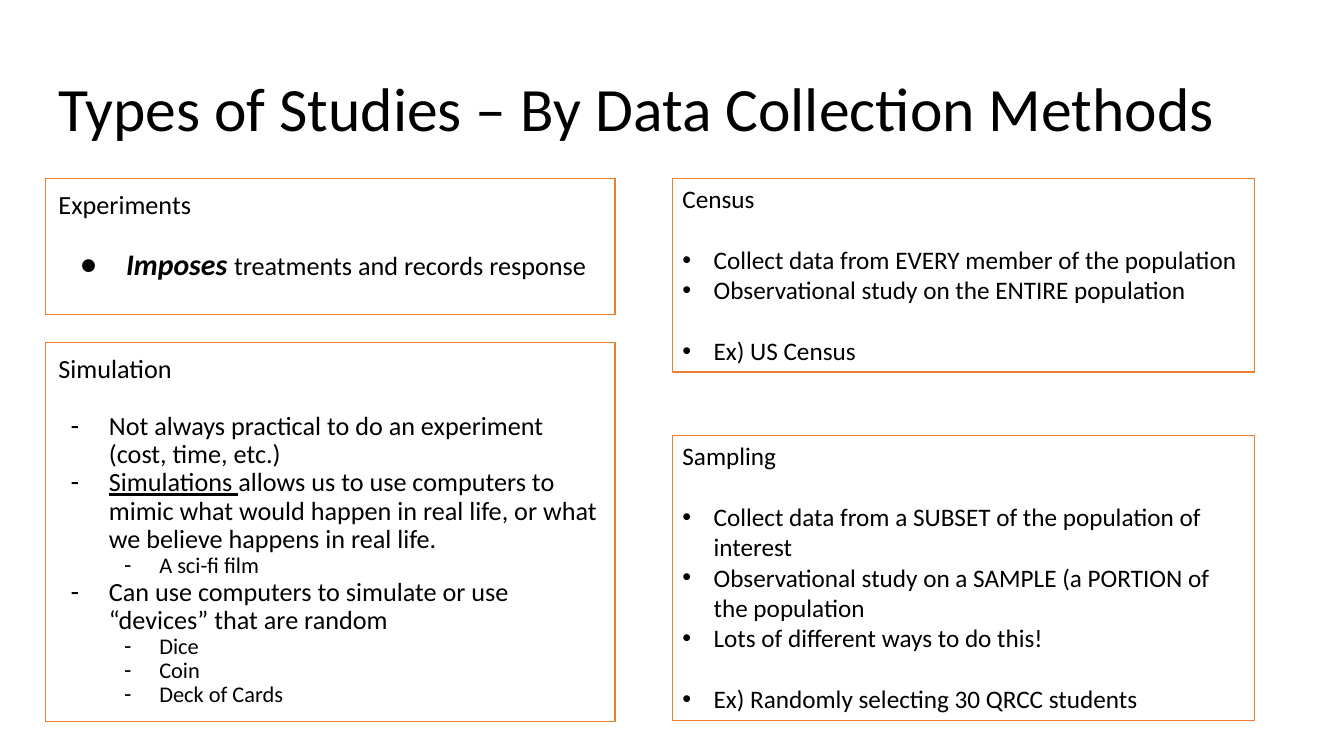
from pptx import Presentation
from pptx.dml.color import RGBColor
from pptx.enum.shapes import MSO_SHAPE as Shape
from pptx.enum.text import MSO_ANCHOR as Anchor, PP_ALIGN as Align
from pptx.oxml.ns import qn
from pptx.util import Inches, Pt
from lxml.etree import SubElement

BLACK = RGBColor(0x00, 0x00, 0x00)
WHITE = RGBColor(0xFF, 0xFF, 0xFF)
ORANGE = RGBColor(0xED, 0x7D, 0x31)
FONT = "Calibri"
LEFT, RIGHT, TOP = 0.45, 6.67, 1.77
LEFT_WIDTH, RIGHT_WIDTH = 5.65, 5.77
LEFT_SIZE, SUB_SIZE, RIGHT_SIZE = 18.7, 16, 18
LEFT_GAP, RIGHT_GAP = 20.5, 22
DOT = ("\u2022", 0.31, 0.31)
BIG_DOT = ("\u25cf", 0.67, 0.46)
DASH = ("-", 0.5, 0.38)
SUB_DASH = ("-", 1, 0.35)


def set_margins(frame, side, end):
    """Set the inner margins of a text frame and anchor its text at the top."""
    frame.margin_left = frame.margin_right = Inches(side)
    frame.margin_top = frame.margin_bottom = Inches(end)
    frame.vertical_anchor = Anchor.TOP
    frame.word_wrap = True


def add_run(line, text, size, bold=False, italic=False, underline=False):
    """Add one styled run to a paragraph."""
    run = line.add_run()
    run.text = text
    font = run.font
    font.name, font.size, font.color.rgb = FONT, Pt(size), BLACK
    font.bold, font.italic, font.underline = bold, italic, underline


def set_bullet(line, mark, indent, hang):
    """Give a paragraph a bullet mark with a hanging indent."""
    props = line._p.get_or_add_pPr()
    props.set("marL", str(Inches(indent)))
    props.set("indent", str(-Inches(hang)))
    SubElement(props, qn("a:buFont"), typeface="Arial")
    SubElement(props, qn("a:buChar"), char=mark)


def add_item(frame, text, size, bullet, spacing, gap=0):
    """Append a bulleted paragraph and return it."""
    line = frame.add_paragraph()
    line.alignment = Align.LEFT
    line.line_spacing = spacing
    line.space_before = Pt(gap)
    set_bullet(line, *bullet)
    if text:
        add_run(line, text, size)
    return line


def add_panel(slide, heading, box, size, spacing, margins):
    """Draw an outlined panel with its heading and return its text frame."""
    panel = slide.shapes.add_shape(Shape.RECTANGLE, *map(Inches, box))
    panel.shadow.inherit = False
    panel.fill.solid()
    panel.fill.fore_color.rgb = WHITE
    panel.line.color.rgb = ORANGE
    panel.line.width = Pt(1)
    frame = panel.text_frame
    set_margins(frame, *margins)
    first = frame.paragraphs[0]
    first.alignment = Align.LEFT
    first.line_spacing = spacing
    add_run(first, heading, size)
    return frame


def add_left_panel(slide, heading, top, height):
    """Add a panel of the left column."""
    box = (LEFT, top, LEFT_WIDTH, height)
    return add_panel(slide, heading, box, LEFT_SIZE, 0.9, (0.13, 0.13))


def add_right_panel(slide, heading, top, height, points, example):
    """Add a panel of the right column with its points and closing example."""
    box = (RIGHT, top, RIGHT_WIDTH, height)
    frame = add_panel(slide, heading, box, RIGHT_SIZE, 1.0, (0.1, 0.05))
    for index, point in enumerate(points):
        add_item(frame, point, RIGHT_SIZE, DOT, 1.0, 0 if index else RIGHT_GAP)
    add_item(frame, example, RIGHT_SIZE, DOT, 1.0, RIGHT_GAP)


def add_title(slide, text):
    """Add the slide title."""
    title = slide.shapes.add_textbox(*map(Inches, (LEFT, 0.65, 12.42, 0.84)))
    set_margins(title.text_frame, 0.13, 0.13)
    line = title.text_frame.paragraphs[0]
    line.line_spacing = 0.9
    add_run(line, text, 44)


def add_experiments(slide):
    """Add the panel on experiments."""
    frame = add_left_panel(slide, "Experiments", TOP, 1.35)
    effect = add_item(frame, "", LEFT_SIZE, BIG_DOT, 0.9, 21.3)
    add_run(effect, "Imposes ", 21.3, bold=True, italic=True)
    add_run(effect, "treatments and records response", LEFT_SIZE)


def add_simulation(slide):
    """Add the panel on simulation."""
    frame = add_left_panel(slide, "Simulation", 3.4, 3.76)
    add_item(frame, "Not always practical to do an experiment (cost, time, etc.)",
             LEFT_SIZE, DASH, 0.9, LEFT_GAP)
    purpose = add_item(frame, "", LEFT_SIZE, DASH, 0.9)
    add_run(purpose, "Simulations ", LEFT_SIZE, underline=True)
    add_run(purpose, "allows us to use computers to mimic what would happen in "
            "real life, or what we believe happens in real life.", LEFT_SIZE)
    add_item(frame, "A sci-fi film", SUB_SIZE, SUB_DASH, 0.9).level = 1
    add_item(frame, "Can use computers to simulate or use \u201cdevices\u201d "
             "that are random", LEFT_SIZE, DASH, 0.9)
    for device in ("Dice", "Coin", "Deck of Cards"):
        add_item(frame, device, SUB_SIZE, SUB_DASH, 0.9).level = 1


def main():
    """Build the slide and save it."""
    deck = Presentation()
    deck.slide_width, deck.slide_height = Inches(13.33), Inches(7.5)
    slide = deck.slides.add_slide(deck.slide_layouts[6])
    add_title(slide, "Types of Studies \u2013 By Data Collection Methods")
    add_experiments(slide)
    add_simulation(slide)
    add_right_panel(slide, "Census", TOP, 1.92, (
        "Collect data from EVERY member of the population",
        "Observational study on the ENTIRE population",
    ), "Ex) US Census")
    add_right_panel(slide, "Sampling", 4.32, 2.83, (
        "Collect data from a SUBSET of the population of interest",
        "Observational study on a SAMPLE (a PORTION of the population",
        "Lots of different ways to do this!",
    ), "Ex) Randomly selecting 30 QRCC students")
    deck.save("out.pptx")


main()
